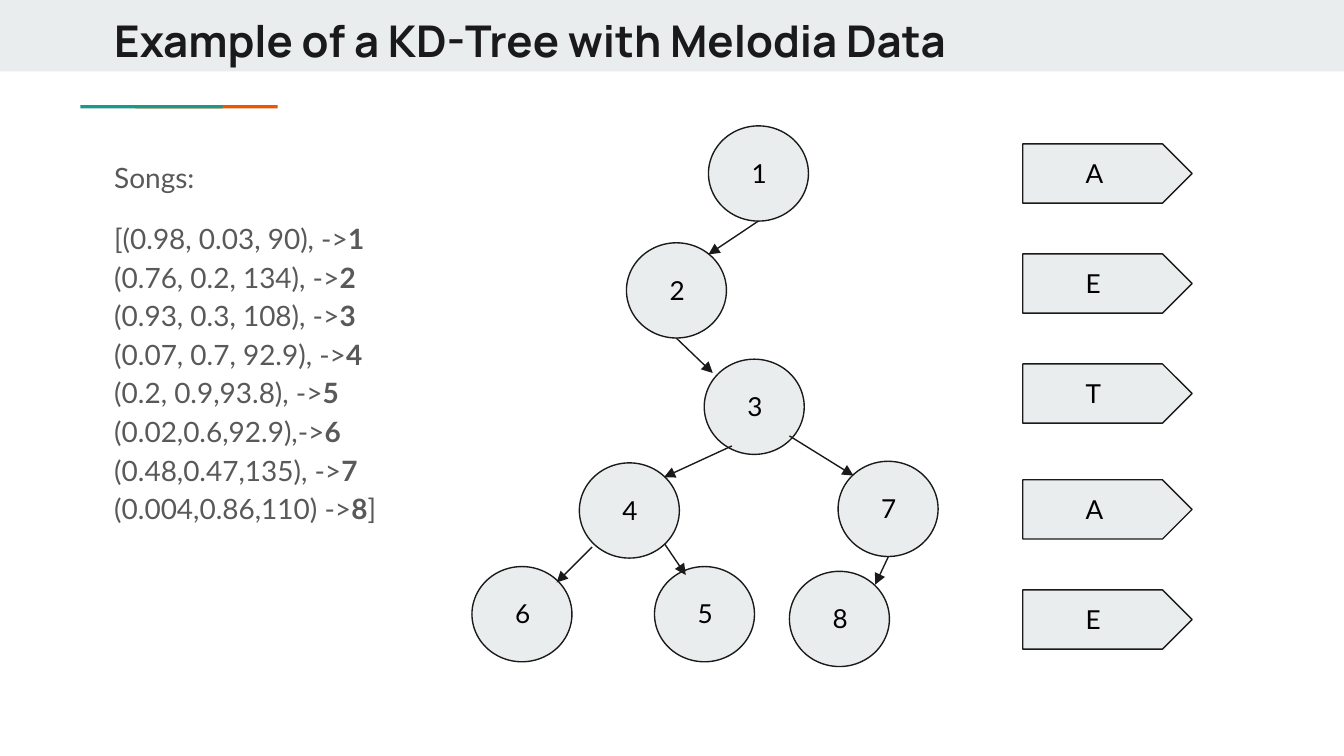
from typing import NamedTuple

from lxml.etree import SubElement
from pptx import Presentation
from pptx.dml.color import RGBColor
from pptx.enum.shapes import MSO_CONNECTOR, MSO_SHAPE as Preset
from pptx.enum.text import MSO_ANCHOR as Anchor
from pptx.oxml.ns import qn
from pptx.util import Cm, Pt

INK, PALE, GREY, BLACK = "1A1A1A", "E9EDEE", "595959", "000000"
TEAL, ORANGE = "1A9988", "EB5600"
LABEL_HEIGHT = 1.12
NODE_WIDTH, NODE_HEIGHT, NODE_LABEL_WIDTH = 1.89, 1.8, 0.76
TAG_LEFT, TAG_WIDTH, TAG_LABEL_LEFT, TAG_LABEL_WIDTH = 19.33, 3.2, 20.27, 0.94


class Node(NamedTuple):
    name: str
    left: float
    top: float


class Arrow(NamedTuple):
    x1: float
    y1: float
    x2: float
    y2: float


class Tag(NamedTuple):
    axis: str
    top: float


NODES = [
    Node("1", 13.39, 2.38), Node("2", 11.84, 4.59), Node("3", 13.31, 6.79),
    Node("4", 10.95, 8.75), Node("5", 12.37, 10.71), Node("6", 8.92, 10.71),
    Node("7", 15.84, 8.72), Node("8", 14.92, 10.8),
]
ARROWS = [
    Arrow(14.33, 4.18, 13.39, 4.81),   # 1 to 2
    Arrow(12.78, 6.39, 13.47, 7.05),   # 2 to 3
    Arrow(13.83, 8.43, 12.55, 9.02),   # 3 to 4
    Arrow(14.92, 8.24, 16.13, 8.99),   # 3 to 7
    Arrow(12.56, 10.28, 12.96, 10.87),  # 4 to 5
    Arrow(11.19, 10.34, 10.52, 11.01),  # 4 to 6
    Arrow(16.79, 10.52, 16.54, 11.05),  # 7 to 8
]
TAGS = [Tag("A", 2.72), Tag("E", 4.8), Tag("T", 6.88), Tag("A", 9.07), Tag("E", 11.15)]
SONGS = [
    "[(0.98, 0.03, 90), ->", "(0.76, 0.2, 134), ->", "(0.93, 0.3, 108), ->",
    "(0.07, 0.7, 92.9), ->", "(0.2, 0.9,93.8), ->", "(0.02,0.6,92.9),->",
    "(0.48,0.47,135), ->", "(0.004,0.86,110) ->",
]


def color(code: str) -> RGBColor:
    return RGBColor.from_string(code)


def style(span, size: float, code: str, bold: bool = False, name: str = "Lato") -> None:
    font = span.font
    font.name, font.size, font.bold = name, Pt(size), bold
    font.color.rgb = color(code)


def add_shape(page, preset, left: float, top: float, width: float, height: float,
              fill: str, outline: str | None = None):
    shape = page.shapes.add_shape(preset, Cm(left), Cm(top), Cm(width), Cm(height))
    shape.shadow.inherit = False
    shape.fill.solid()
    shape.fill.fore_color.rgb = color(fill)
    if outline:
        shape.line.color.rgb = color(outline)
        shape.line.width = Pt(0.75)
    else:
        shape.line.fill.background()
    return shape


def add_frame(page, left: float, top: float, width: float, height: float):
    """Add a wrapping text box with equal insets and return its text frame."""
    box = page.shapes.add_textbox(Cm(left), Cm(top), Cm(width), Cm(height))
    frame = box.text_frame
    frame.word_wrap = True
    frame.margin_left = frame.margin_right = Cm(0.25)
    frame.margin_top = frame.margin_bottom = Cm(0.25)
    return frame


def add_label(page, text: str, left: float, top: float, width: float) -> None:
    frame = add_frame(page, left, top, width, LABEL_HEIGHT)
    frame.text = text
    style(frame.paragraphs[0].runs[0], 14, BLACK)


def add_node(page, node: Node) -> None:
    add_shape(page, Preset.FLOWCHART_CONNECTOR, node.left, node.top,
              NODE_WIDTH, NODE_HEIGHT, PALE, INK)
    add_label(page, node.name, node.left + (NODE_WIDTH - NODE_LABEL_WIDTH) / 2,
              node.top + (NODE_HEIGHT - LABEL_HEIGHT) / 2, NODE_LABEL_WIDTH)


def add_arrow(page, arrow: Arrow) -> None:
    line = page.shapes.add_connector(MSO_CONNECTOR.STRAIGHT, *map(Cm, arrow))
    line.line.color.rgb = color(INK)
    line.line.width = Pt(0.75)
    SubElement(line.line._get_or_add_ln(), qn("a:tailEnd"), type="triangle")
    SubElement(line._element.spPr, qn("a:effectLst"))


def add_tag(page, tag: Tag) -> None:
    add_shape(page, Preset.PENTAGON, TAG_LEFT, tag.top, TAG_WIDTH, LABEL_HEIGHT, PALE, INK)
    add_label(page, tag.axis, TAG_LABEL_LEFT, tag.top, TAG_LABEL_WIDTH)


def add_header(page) -> None:
    add_shape(page, Preset.RECTANGLE, 0, 0, 25.4, 1.35, PALE)
    for left, fill in ((2.56, ORANGE), (1.52, TEAL)):
        add_shape(page, Preset.RECTANGLE, left, 1.99, 2.69, 0.06, fill)
    frame = add_frame(page, 1.91, 0, 21.36, 1.5)
    frame.vertical_anchor = Anchor.MIDDLE
    frame.text = "Example of a KD-Tree with Melodia Data"
    style(frame.paragraphs[0].runs[0], 23.4, INK, bold=True, name="Manrope")


def add_songs(page) -> None:
    frame = add_frame(page, 1.91, 2.69, 6.05, 9.22)
    frame.text = "Songs:"
    heading = frame.paragraphs[0]
    heading.line_spacing = 1.15
    style(heading.runs[0], 15, GREY)

    para = frame.add_paragraph()
    para.line_spacing = 1.15
    para.space_before = para.space_after = Pt(12)
    for number, song in enumerate(SONGS, 1):
        ending = "]" if number == len(SONGS) else " "
        for text, bold in ((song, False), (str(number), True), (ending, False)):
            span = para.add_run()
            span.text = text
            style(span, 15, GREY, bold)


def main() -> None:
    deck = Presentation()
    deck.slide_width, deck.slide_height = Cm(25.4), Cm(14.29)
    page = deck.slides.add_slide(deck.slide_layouts[6])
    add_header(page)
    add_songs(page)
    for node in NODES:
        add_node(page, node)
    for arrow in ARROWS:
        add_arrow(page, arrow)
    for tag in TAGS:
        add_tag(page, tag)
    deck.save("out.pptx")


if __name__ == "__main__":
    main()
